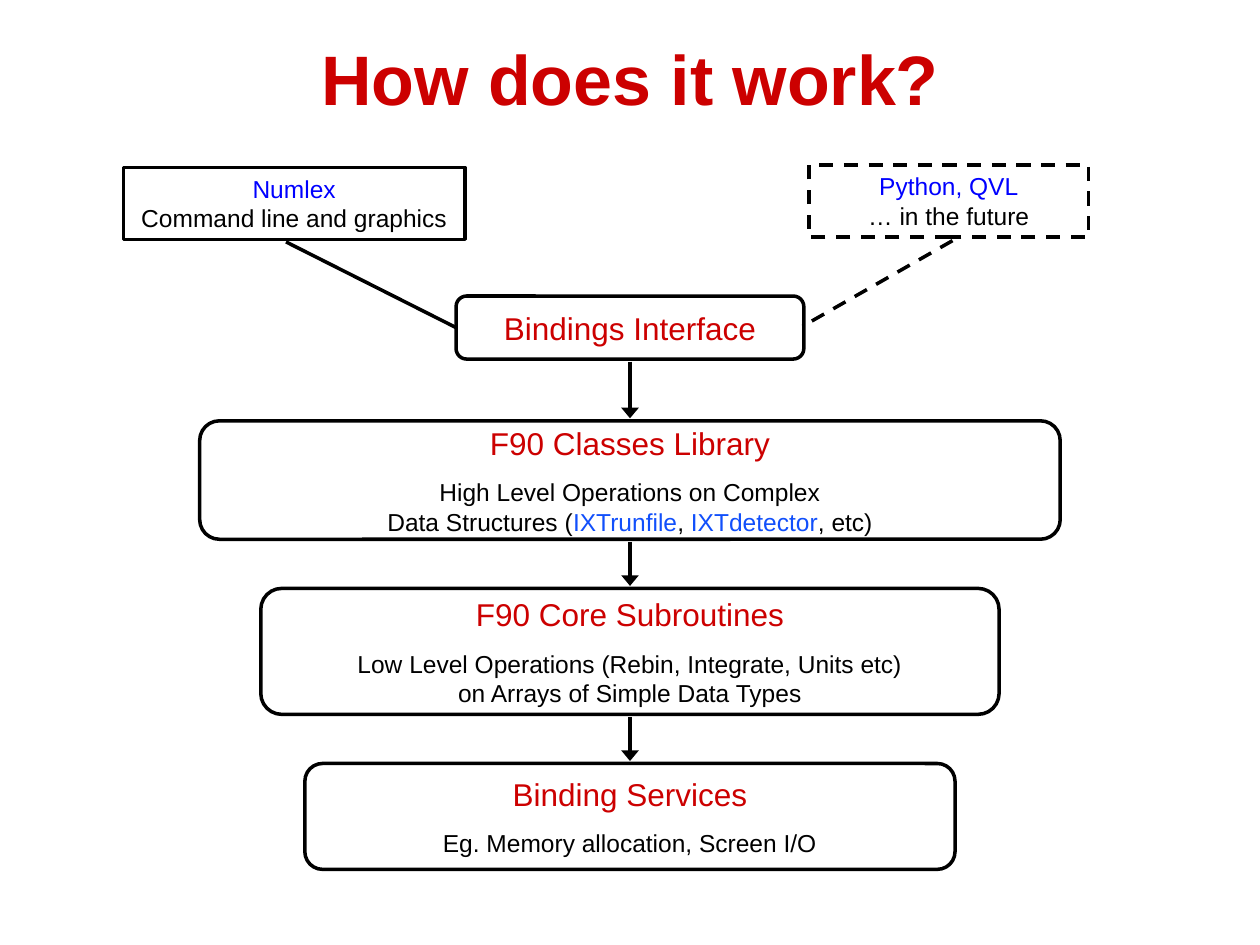
from itertools import pairwise

from lxml import etree
from pptx import Presentation
from pptx import util as u
from pptx.dml.color import RGBColor
from pptx.enum import dml, shapes, text
from pptx.oxml.ns import qn

COLUMNS, ROWS = 100, 75
CELL = u.Inches(0.1)
CENTRE = COLUMNS / 2
GAP = 0.2  # rows between an arrow and the box it meets

COLORS = {
    "heading": "CC0000",
    "body": "000000",
    "line": "000000",
    "fill": "FFFFFF",
    "language": "0000FF",
    "class": "114FFB",
}

# top row, rows, columns, heading, lines of (text, color) spans
LAYERS = [
    (23.5, 5, 27.6, "Bindings Interface", []),
    (33.4, 9.4, 68.3, "F90 Classes Library", [
        [("High Level Operations on Complex", "body")],
        [("Data Structures (", "body"), ("IXTrunfile", "class"), (", ", "body"),
         ("IXTdetector", "class"), (", etc)", "body")],
    ]),
    (46.7, 10, 58.6, "F90 Core Subroutines", [
        [("Low Level Operations (Rebin, Integrate, Units etc)", "body")],
        [("on Arrays of Simple Data Types", "body")],
    ]),
    (60.6, 8.4, 51.6, "Binding Services", [
        [("Eg. Memory allocation, Screen I/O", "body")],
    ]),
]

# box (left, top, columns, rows), link start, link end, language, remark, dashed
CLIENTS = [
    ((9.8, 13.3, 27.1, 5.7), (22.7, 19.2), (36.2, 26),
     "Numlex", "Command line and graphics", False),
    ((64.2, 13.1, 22.2, 5.7), (75.6, 19.1), (63.7, 25.9),
     "Python, QVL", "… in the future", True),
]


def cells(*counts):
    return [round(count * CELL) for count in counts]


def color(name):
    return RGBColor.from_string(COLORS[name])


def style_line(line, dashed=False):
    line.color.rgb = color("line")
    line.width = u.Pt(2)
    if dashed:
        line.dash_style = dml.MSO_LINE.DASH


def write_lines(para, lines, size, bold=False):
    """Fill a centred paragraph with lines, each a list of (text, color) spans."""
    para.alignment = text.PP_ALIGN.CENTER
    para.font.name = "Arial"
    para.font.size = u.Pt(size)
    para.font.bold = bold
    for number, spans in enumerate(lines):
        if number:
            para.add_line_break()
        for words, name in spans:
            span = para.add_run()
            span.text = words
            span.font.color.rgb = color(name)


def add_title(page, words):
    box = page.shapes.add_textbox(*cells(24.5, 2.3, 51, 7.7))
    box.text_frame.word_wrap = False
    write_lines(box.text_frame.paragraphs[0], [[(words, "heading")]], 40, bold=True)


def add_link(page, start, end, dashed=False, arrow=False):
    link = page.shapes.add_connector(shapes.MSO_CONNECTOR.STRAIGHT, *cells(*start, *end))
    style_line(link.line, dashed)
    properties = link._element.spPr
    if arrow:
        etree.SubElement(properties.find(qn("a:ln")), qn("a:tailEnd"), type="triangle", w="lg")
    etree.SubElement(properties, qn("a:effectLst"))


def add_box(page, preset, area, dashed=False):
    box = page.shapes.add_shape(preset, *cells(*area))
    box.shadow.inherit = False
    style_line(box.line, dashed)
    box.text_frame.word_wrap = True
    return box


def add_layer(page, top, rows, columns, heading, lines):
    area = (CENTRE - columns / 2, top, columns, rows)
    box = add_box(page, shapes.MSO_SHAPE.ROUNDED_RECTANGLE, area)
    box.fill.solid()
    box.fill.fore_color.rgb = color("fill")
    frame = box.text_frame
    frame.vertical_anchor = text.MSO_ANCHOR.MIDDLE
    frame.margin_left = frame.margin_right = frame.margin_top = frame.margin_bottom = 0
    write_lines(frame.paragraphs[0], [[(heading, "heading")]], 18)
    if lines:
        para = frame.add_paragraph()
        para.space_before = u.Pt(8.8)
        write_lines(para, lines, 14)


def add_client(page, area, start, end, language, remark, dashed):
    box = add_box(page, shapes.MSO_SHAPE.RECTANGLE, area, dashed)
    box.fill.background()
    box.text_frame.vertical_anchor = text.MSO_ANCHOR.TOP
    lines = [[(language, "language")], [(remark, "body")]]
    write_lines(box.text_frame.paragraphs[0], lines, 14)
    add_link(page, start, end, dashed)


def main():
    deck = Presentation()
    deck.slide_width, deck.slide_height = cells(COLUMNS, ROWS)
    page = deck.slides.add_slide(deck.slide_layouts[6])
    for (top, rows, *_), (next_top, *_) in pairwise(LAYERS):
        add_link(page, (CENTRE, top + rows + GAP), (CENTRE, next_top - GAP), arrow=True)
    for layer in LAYERS:
        add_layer(page, *layer)
    for client in CLIENTS:
        add_client(page, *client)
    add_title(page, "How does it work?")
    deck.save("out.pptx")


if __name__ == "__main__":
    main()
